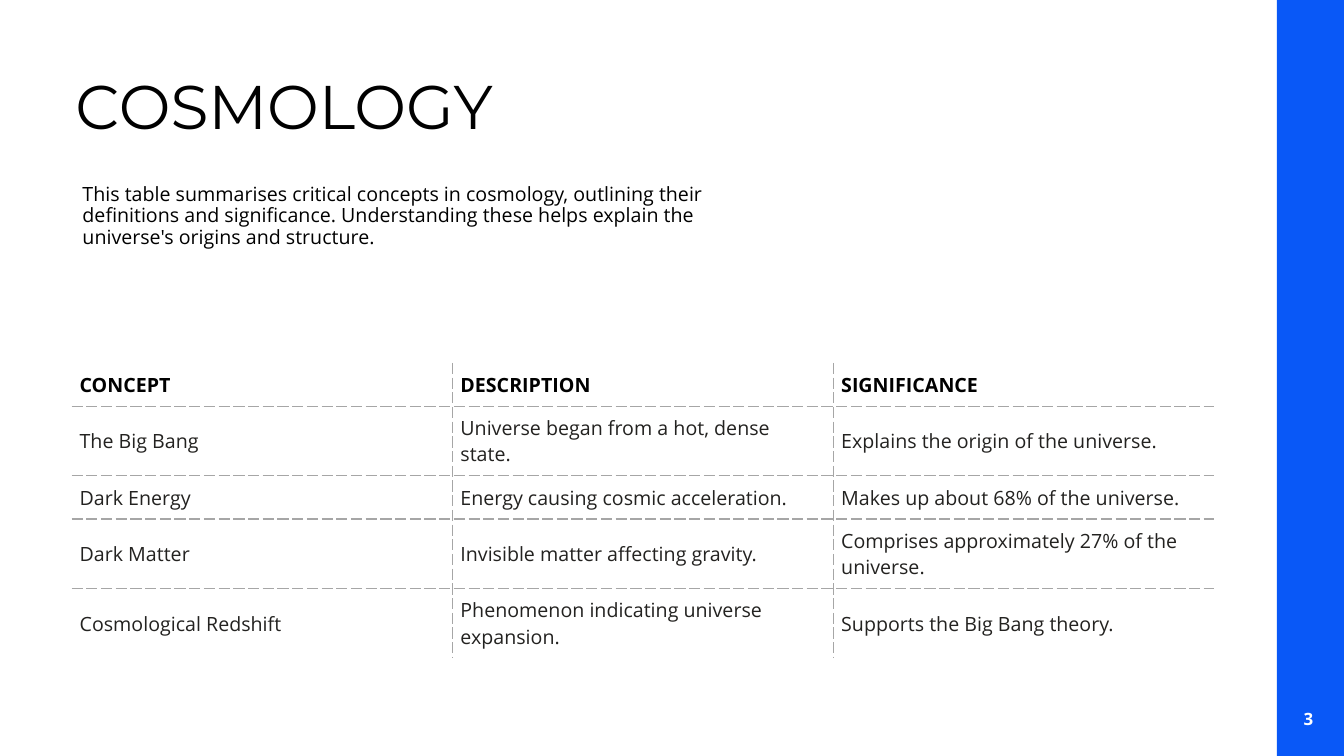
from lxml.etree import SubElement
from pptx import Presentation
from pptx.dml.color import RGBColor
from pptx.enum.shapes import MSO_SHAPE as Shape
from pptx.enum.text import MSO_ANCHOR as Anchor, PP_ALIGN as Align
from pptx.oxml.ns import qn
from pptx.util import Inches, Pt

WIDE, HIGH = 13.33, 7.5
BODY = "Open Sans"
ROWS = [
    ("CONCEPT", "DESCRIPTION", "SIGNIFICANCE"),
    ("The Big Bang", "Universe began from a hot, dense state.",
     "Explains the origin of the universe."),
    ("Dark Energy", "Energy causing cosmic acceleration.",
     "Makes up about 68% of the universe."),
    ("Dark Matter", "Invisible matter affecting gravity.",
     "Comprises approximately 27% of the universe."),
    ("Cosmological Redshift", "Phenomenon indicating universe expansion.",
     "Supports the Big Bang theory."),
]
SHORT, TALL = 0.43, 0.69
HEIGHTS = (SHORT, TALL, SHORT, TALL, TALL)


def color(code):
    return RGBColor.from_string(code)


def write(frame, text, size=14, font=BODY, ink="000000", bold=False,
          align=Align.LEFT, anchor=Anchor.MIDDLE, space=None):
    frame.word_wrap = True
    frame.vertical_anchor = anchor
    para = frame.paragraphs[0]
    para.alignment = align
    para.line_spacing = space
    run = para.add_run()
    run.text = text
    run.font.size = Pt(size)
    run.font.name = font
    run.font.bold = bold
    run.font.color.rgb = color(ink)


def label(slide, box, text, **look):
    shape = slide.shapes.add_textbox(*map(Inches, box))
    write(shape.text_frame, text, **look)


def edge(cell, side, shown):
    line = SubElement(cell._tc.get_or_add_tcPr(), qn(f"a:ln{side}"),
                      w=str(Pt(1) if shown else 0))
    if shown:
        fill = SubElement(line, qn("a:solidFill"))
        SubElement(fill, qn("a:srgbClr"), val="A6A6A6")
        SubElement(line, qn("a:prstDash"), val="sysDash")
    else:
        SubElement(line, qn("a:noFill"))


def header(slide, box):
    left, top, width, height = box
    label(slide, (left, top, width, height * 0.53), "COSMOLOGY",
          size=44, font="Montserrat", anchor=Anchor.TOP)
    label(slide, (left + 0.07, top + height * 0.56, 6.6, height * 0.44),
          "This table summarises critical concepts in cosmology, outlining "
          "their definitions and significance. Understanding these helps "
          "explain the universe's origins and structure.", space=0.9)


def grid(slide, box):
    count, span = len(ROWS), len(ROWS[0])
    frame = slide.shapes.add_table(count, span, *map(Inches, box))
    table = frame.table
    table.first_row = table.horz_banding = False
    for col in table.columns:
        col.width = Inches(box[2] / span)
    for r, (row, high) in enumerate(zip(ROWS, HEIGHTS)):
        table.rows[r].height = Inches(high)
        for c, text in enumerate(row):
            cell = table.cell(r, c)
            cell.margin_left = cell.margin_right = Inches(0.08)
            cell.margin_top = cell.margin_bottom = Inches(0.08)
            write(cell.text_frame, text, bold=r == 0,
                  ink="232220" if r else "000000")
            cell.vertical_anchor = Anchor.MIDDLE
            sides = {"L": c > 0, "R": c < span - 1,
                     "T": r > 0, "B": r < count - 1}
            for side, shown in sides.items():
                edge(cell, side, shown)
            cell.fill.background()


def band(slide, box):
    left, top, width, height = box
    bar = slide.shapes.add_shape(Shape.RECTANGLE, *map(Inches, box))
    bar.shadow.inherit = False
    bar.fill.solid()
    bar.fill.fore_color.rgb = color("0958F7")
    bar.line.fill.background()
    label(slide, (left - 0.02, top + height * 0.925, width, 0.39), "3",
          size=12.1, ink="FFFFFF", bold=True, align=Align.CENTER)


def main():
    deck = Presentation()
    deck.slide_width, deck.slide_height = Inches(WIDE), Inches(HIGH)
    slide = deck.slides.add_slide(deck.slide_layouts[6])
    band(slide, (WIDE * 0.95, 0, WIDE * 0.05, HIGH))
    grid(slide, (0.71, 3.6, WIDE * 0.85, sum(HEIGHTS)))
    header(slide, (0.65, 0.62, WIDE * 0.85, 1.96))
    deck.save("out.pptx")


if __name__ == "__main__":
    main()
